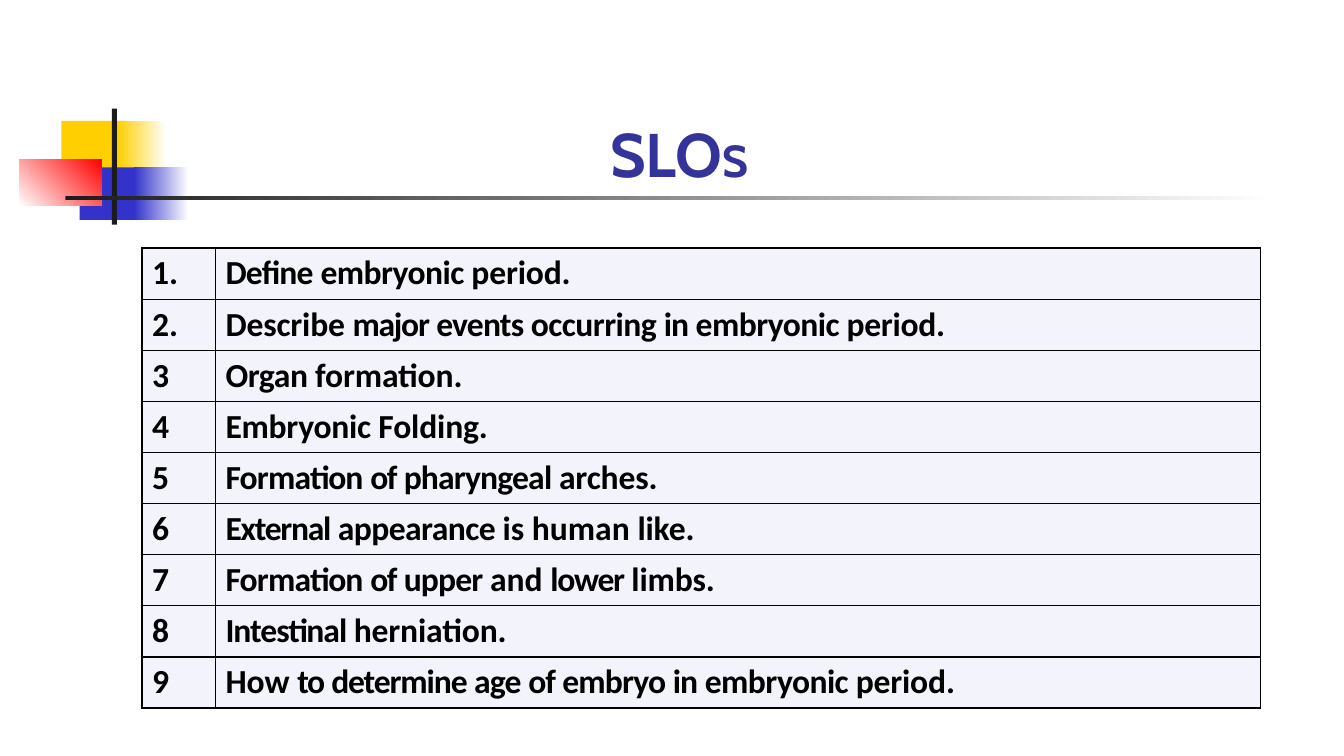
from pptx import Presentation
from pptx.dml.color import RGBColor
from pptx.enum.shapes import MSO_SHAPE
from pptx.enum.text import MSO_ANCHOR, MSO_AUTO_SIZE, PP_ALIGN
from pptx.oxml import parse_xml
from pptx.oxml.ns import nsdecls
from pptx.util import Cm, Pt

RECTANGLE = MSO_SHAPE.RECTANGLE
BOTTOM = MSO_ANCHOR.BOTTOM
NO_AUTOFIT = MSO_AUTO_SIZE.NONE
CENTER = PP_ALIGN.CENTER

WHITE = RGBColor(0xFF, 0xFF, 0xFF)
BLACK = RGBColor(0x00, 0x00, 0x00)
CHARCOAL = RGBColor(0x1C, 0x1C, 0x1C)
YELLOW = RGBColor(0xFF, 0xCF, 0x01)
BLUE = RGBColor(0x33, 0x33, 0xCC)
RED = RGBColor(0xFF, 0x00, 0x00)
TITLE_BLUE = RGBColor(0x33, 0x33, 0x99)
CELL_FILL = RGBColor(0xF3, 0xF3, 0xFB)


def add_text(paragraph, text, font="Calibri", size=24, color=BLACK, spacing=0):
    """Add a bold run; spacing is the character spacing in points."""
    run = paragraph.add_run()
    run.text = text
    run.font.name = font
    run.font.size = Pt(size)
    run.font.bold = True
    run.font.color.rgb = color
    if spacing:
        run.font._element.set("spc", str(round(spacing * 100)))


def add_border(cell, side):
    """Draw a one-point black line on one side (L, R, T or B) of a cell."""
    cell._tc.get_or_add_tcPr().append(parse_xml(
        f'<a:ln{side} {nsdecls("a")} w="{Pt(1)}"><a:solidFill>'
        f'<a:srgbClr val="{BLACK}"/></a:solidFill></a:ln{side}>'))


presentation = Presentation()
presentation.slide_width = Cm(33.87)
presentation.slide_height = Cm(19.05)
slide = presentation.slides.add_slide(presentation.slide_layouts[5])

# Corner ornament and title rule: left, top, width, height, colours, angle
ornament = [
    (1.55, 3.05, 1.63, 1.32, [YELLOW], 0),
    (2.97, 3.05, 1.22, 1.32, [YELLOW, WHITE], 0),
    (2.01, 4.22, 1.57, 1.32, [BLUE], 0),
    (3.38, 4.22, 1.37, 1.32, [BLUE, WHITE], 0),
    (0.48, 4.01, 2.08, 1.17, [WHITE, RED], 45),
    (2.82, 2.74, 0.13, 2.92, [CHARCOAL], 0),
    (1.65, 4.95, 30.48, 0.09, [CHARCOAL, WHITE], 0),
]
for left, top, width, height, colors, angle in ornament:
    shape = slide.shapes.add_shape(RECTANGLE, Cm(left), Cm(top), Cm(width), Cm(height))
    shape.shadow.inherit = False
    shape.line.fill.background()
    if len(colors) == 1:
        shape.fill.solid()
        shape.fill.fore_color.rgb = colors[0]
    else:
        shape.fill.gradient()
        shape.fill.gradient_angle = angle
        for position, (stop, color) in enumerate(zip(shape.fill.gradient_stops, colors)):
            stop.position = position
            stop.color.rgb = color

# Title
title = slide.shapes.title
title.left, title.top, title.width, title.height = Cm(4.27), Cm(1.73), Cm(25.7), Cm(3.18)
title.text_frame.vertical_anchor = BOTTOM
title.text_frame.auto_size = NO_AUTOFIT
title_paragraph = title.text_frame.paragraphs[0]
title_paragraph.alignment = CENTER
add_text(title_paragraph, "SLO", font="Cabin", size=44, color=TITLE_BLUE)
add_text(title_paragraph, "S", font="Cabin", size=32, color=TITLE_BLUE)

# Objectives: number, then text pieces with their character spacing
objectives = [
    ("1.", [("Define ", -0.5), ("embryonic ", -0.4), ("period.", -0.1)]),
    ("2.", [("Describe ", -0.1), ("major ", -0.9), ("events ", -0.6), ("occurring ", -0.4),
            ("in ", -0.7), ("embryonic ", -0.4), ("period.", -0.2)]),
    ("3", [("Organ ", -0.3), ("formation.", -0.1)]),
    ("4", [("Embryonic ", -0.2), ("Folding.", -0.1)]),
    ("5", [("Formation ", -0.6), ("of ", -1), ("pharyngeal ", -0.6), ("arches.", -0.1)]),
    ("6", [("External ", -0.9), ("appearance ", -0.4), ("is human ", 0), ("like.", -0.1)]),
    ("7", [("Formation ", -0.6), ("of ", -1), ("upper ", -0.6), ("and ", 0),
           ("lower ", -0.9), ("limbs.", -0.1)]),
    ("8", [("Intestinal ", -0.7), ("herniation.", -0.1)]),
    ("9", [("How ", 0), ("to ", -1.1), ("determine ", -0.8), ("age ", -0.6), ("of ", -0.8),
           ("embryo ", -0.6), ("in ", -0.7), ("embryonic ", -0.4), ("period.", -0.1)]),
]

# Table
table = slide.shapes.add_table(
    len(objectives), 2, Cm(3.58), Cm(6.25), Cm(28.19), Cm(11.43)).table
table.first_row = False
table.horz_banding = False
table.columns[0].width = Cm(1.85)
table.columns[1].width = Cm(26.34)
for row, (number, pieces) in enumerate(objectives):
    for column, content in enumerate([[(number, 0)], pieces]):
        cell = table.cell(row, column)
        for side in "LRTB":
            add_border(cell, side)
        cell.fill.solid()
        cell.fill.fore_color.rgb = CELL_FILL
        for text, spacing in content:
            add_text(cell.text_frame.paragraphs[0], text, spacing=spacing)

presentation.save("out.pptx")
